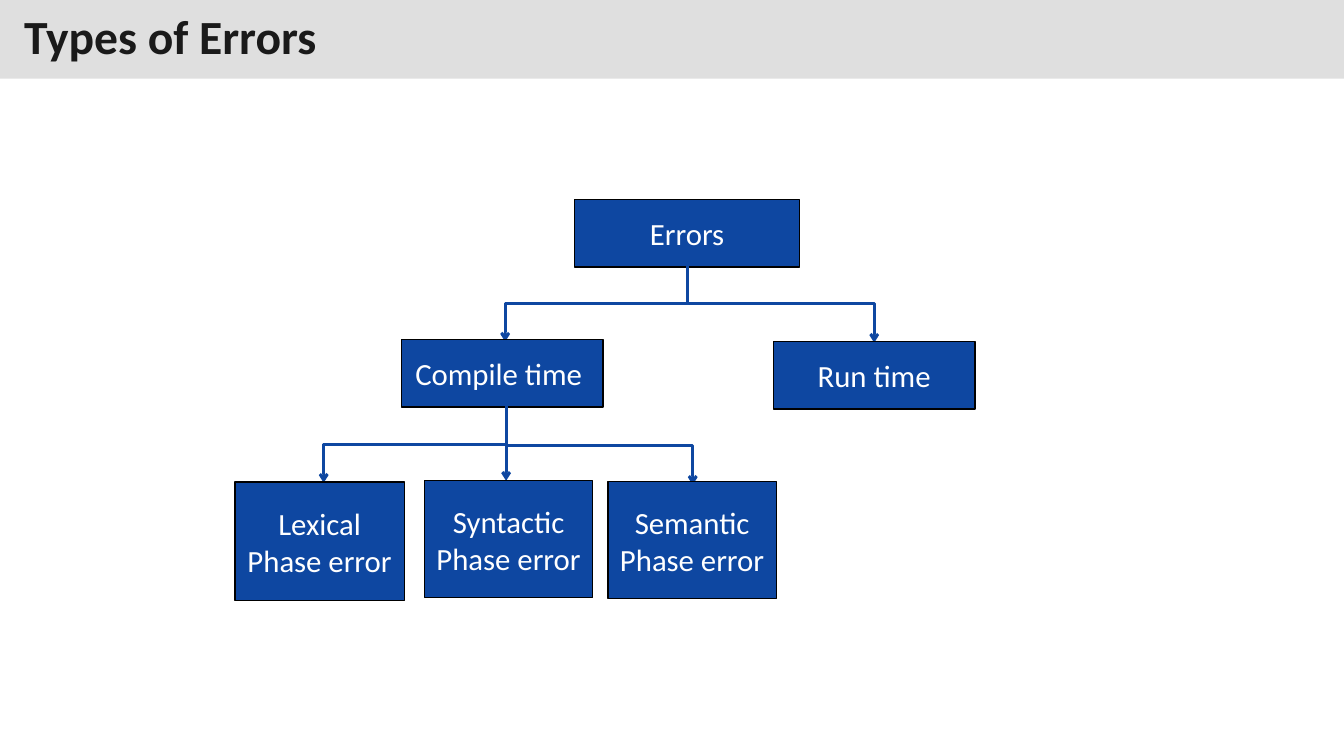
from lxml.etree import SubElement
from pptx import Presentation
from pptx.dml.color import RGBColor
from pptx.enum.shapes import MSO_CONNECTOR as Connector, MSO_SHAPE as Shape
from pptx.enum.text import MSO_ANCHOR as Anchor, PP_ALIGN as Align
from pptx.oxml.ns import qn
from pptx.util import Inches, Pt

COLORS = {"band": "C0C0C0", "title": "1A1A1A", "blue": "0E47A1",
          "outline": "000000", "label": "FFFFFF"}
COLUMNS, ROWS = 133.3, 75  # grid of tenth-inch cells
CELL = Inches(0.1)

presentation = Presentation()
presentation.slide_width = int(COLUMNS * CELL)
presentation.slide_height = int(ROWS * CELL)
slide = presentation.slides.add_slide(presentation.slide_layouts[6])


def add_box(text, bounds, fill, color, size, align, bold=False):
    """Draw a filled rectangle with a label; bounds are grid cells."""
    shape = slide.shapes.add_shape(Shape.RECTANGLE, *[int(n * CELL) for n in bounds])
    shape.shadow.inherit = False
    shape.fill.solid()
    shape.fill.fore_color.rgb = RGBColor.from_string(COLORS[fill])
    shape.line.color.rgb = RGBColor.from_string(COLORS["outline"])
    shape.line.width = Pt(1)
    frame = shape.text_frame
    frame.word_wrap = True
    frame.vertical_anchor = Anchor.MIDDLE
    paragraph = frame.paragraphs[0]
    paragraph.alignment = align
    run = paragraph.add_run()
    run.text = text
    run.font.name = "Calibri"
    run.font.size = Pt(size)
    run.font.bold = bold
    run.font.color.rgb = RGBColor.from_string(COLORS[color])
    return shape


def add_arrow(start, end):
    """Draw an arrow downwards, with an elbow if it also moves sideways."""
    (x1, y1), (x2, y2) = start, end
    kind = Connector.STRAIGHT
    if x1 != x2:
        # An elbow runs sideways first, so lay it out turned about its centre
        kind = Connector.ELBOW
        side = 1 if x2 > x1 else -1
        middle_x, middle_y = (x1 + x2) / 2, (y1 + y2) / 2
        half_drop, half_reach = (y2 - y1) / 2, abs(x2 - x1) / 2
        x1, x2 = middle_x + side * half_drop, middle_x - side * half_drop
        y1, y2 = middle_y - half_reach, middle_y + half_reach
    arrow = slide.shapes.add_connector(kind, *[int(n * CELL) for n in (x1, y1, x2, y2)])
    arrow.line.color.rgb = RGBColor.from_string(COLORS["blue"])
    arrow.line.width = Pt(2)
    properties = arrow._element.spPr
    if kind == Connector.ELBOW:
        degrees = 270 if side > 0 else 90
        properties.find(qn("a:xfrm")).set("rot", str(degrees * 60000))
    SubElement(properties.find(qn("a:ln")), qn("a:tailEnd"), type="arrow")
    SubElement(properties, qn("a:effectLst"))


# Title band, half transparent
band = add_box("Types of Errors", (0, 0, COLUMNS, 7.8), "band", "title", 34, Align.LEFT, True)
band.line.fill.background()
band_color = band._element.spPr.find(qn("a:solidFill"))[0]
SubElement(band_color, qn("a:alpha"), val="50000")
frame = band.text_frame
frame.margin_left = frame.margin_right = Inches(0.24)
frame.margin_top = frame.margin_bottom = Inches(0.12)
frame.paragraphs[0].line_spacing = 0.9

# Error tree, level by level: arrows first, then the boxes they lead to
levels = [
    ([], [("Errors", (57, 19.8, 22.3, 6.7))]),
    ([((68.2, 26.3), (86.7, 34)), ((68.2, 26.3), (50.1, 33.9))],
     [("Compile time ", (39.8, 33.7, 20, 6.7)),
      ("Run time", (76.7, 33.9, 20, 6.7))]),
    ([((50.2, 40.3), (68.7, 48.1)), ((50.2, 40.3), (32.1, 47.9)),
      ((50.2, 44), (50.2, 47.7))],
     [("Lexical Phase error", (23.3, 47.8, 16.8, 11.8)),
      ("Syntactic Phase error", (42.1, 47.7, 16.7, 11.6)),
      ("Semantic Phase error", (60.3, 47.8, 16.7, 11.6))]),
]
for arrows, boxes in levels:
    for start, end in arrows:
        add_arrow(start, end)
    for text, bounds in boxes:
        add_box(text, bounds, "blue", "label", 22, Align.CENTER)

presentation.save("out.pptx")
